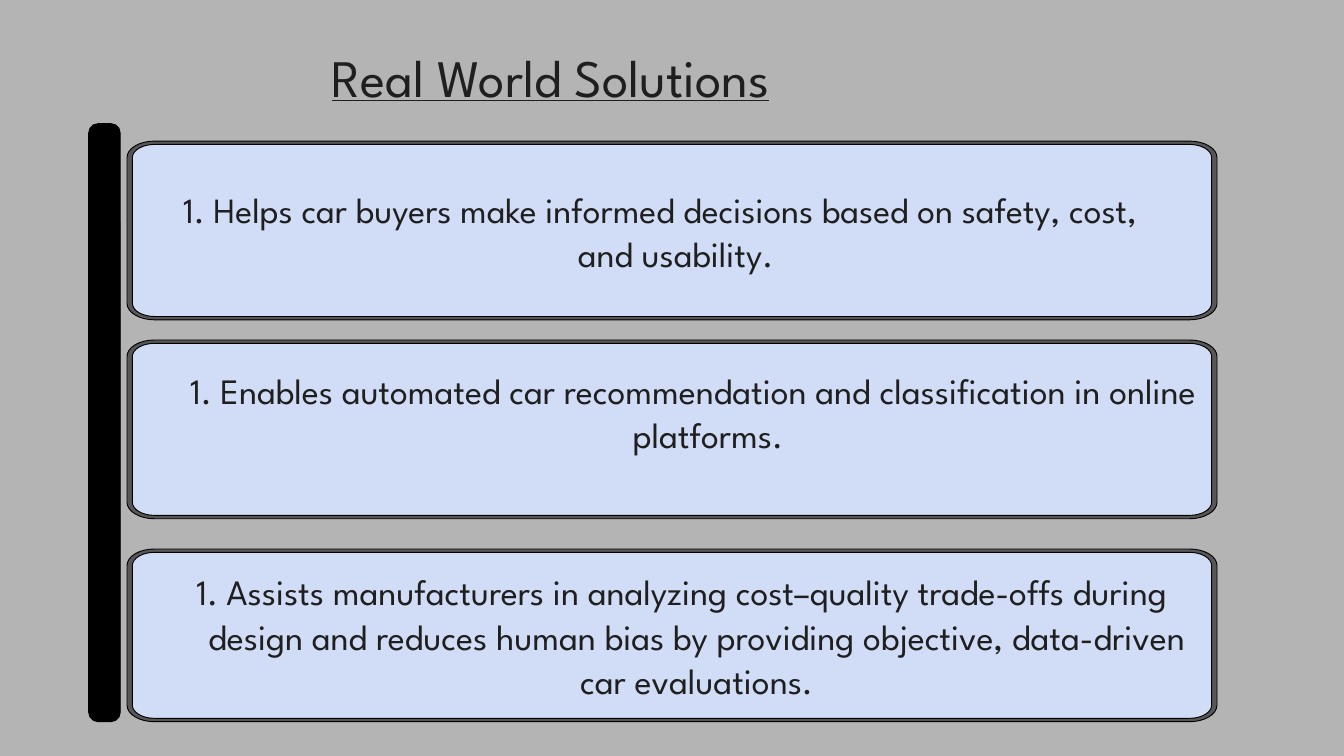
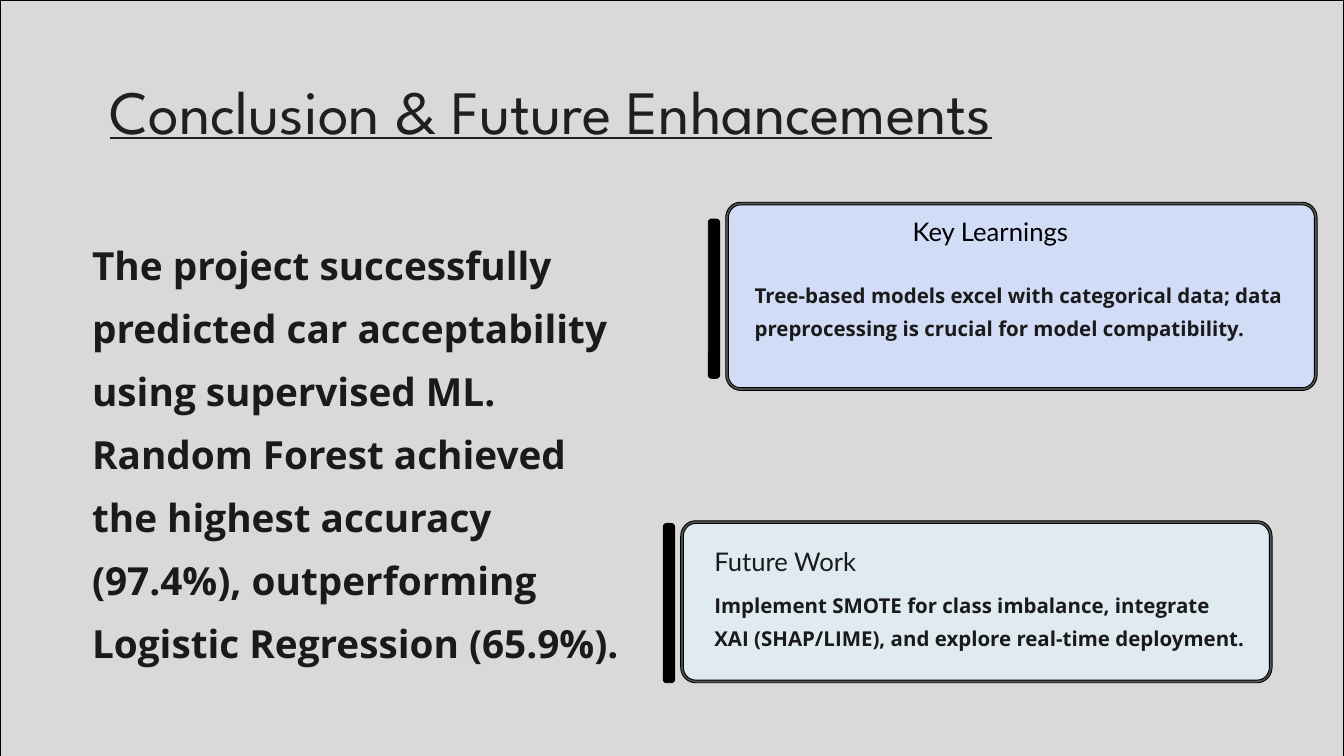
from dataclasses import dataclass
from math import cos, pi, sin

from lxml.etree import SubElement
from pptx import Presentation
from pptx.dml.color import RGBColor as Rgb
from pptx.enum.shapes import MSO_SHAPE as Kind
from pptx.enum.text import MSO_ANCHOR as Anchor, MSO_AUTO_SIZE as Fit, PP_ALIGN as Align
from pptx.oxml.ns import qn
from pptx.util import Inches, Pt

WIDE, HIGH = 20, 11.25


@dataclass(frozen=True)
class Theme:
    wall: str = "B4B4B4"
    panel: str = "D9D9D9"
    blue: str = "D1DCF6"
    pale: str = "DFEAF1"
    rim: str = "575757"
    black: str = "000000"
    ink: str = "1F1F1F"
    dark: str = "1A1A1A"
    head: str = "League Spartan"
    label: str = "Lato"
    body: str = "Open Sans"
    item_size: float = 38.2
    lead_size: float = 41.5
    label_size: float = 27.5
    note_size: float = 21.9


T = Theme()


def place(shape, box):
    shape.left, shape.top, shape.width, shape.height = map(Inches, box)


def paint(shape, fill):
    shape.shadow.inherit = False
    shape.fill.solid()
    shape.fill.fore_color.rgb = Rgb.from_string(fill)
    shape.line.color.rgb = Rgb.from_string(T.black)
    shape.line.width = Pt(1)


def text(slide, words, box, shape=None, font=T.head, size=20, color=T.ink,
         bold=False, line=False, pitch=None, align=Align.LEFT, number=False):
    """Write words into the given shape, or into a new text box."""
    if shape is None:
        shape = slide.shapes.add_textbox(*map(Inches, box))
    frame = shape.text_frame
    frame.margin_left = frame.margin_top = frame.margin_right = frame.margin_bottom = 0
    frame.word_wrap = True
    frame.auto_size = Fit.NONE
    frame.vertical_anchor = Anchor.TOP
    place(shape, box)
    para = frame.paragraphs[0]
    para.alignment = align
    para.line_spacing = Pt(pitch)
    if number:
        para.level = 1
        props = para._p.get_or_add_pPr()
        props.set("marL", str(Inches(0.9)))
        props.set("indent", str(Inches(-0.45)))
        SubElement(props, qn("a:buAutoNum"), type="arabicPeriod")
    run = para.add_run()
    run.text = words
    run.font.name, run.font.size = font, Pt(size)
    run.font.bold, run.font.underline = bold, line
    run.font.color.rgb = Rgb.from_string(color)


def title(slide, words, box, size, pitch):
    text(slide, words, box, shape=slide.shapes.title, size=size, pitch=pitch, line=True)


def inset(box, dx, dy):
    x, y, w, h = box
    return x + dx, y + dy, w - 2 * dx, h - 2 * dy


def outline(box, rx, ry, steps=8):
    """Points, clockwise, of a rectangle with elliptical corners."""
    x, y, w, h = box
    hubs = ((x + rx, y + ry), (x + w - rx, y + ry),
            (x + w - rx, y + h - ry), (x + rx, y + h - ry))
    dots = []
    for turn, (cx, cy) in enumerate(hubs):
        for step in range(steps + 1):
            angle = pi + (turn + step / steps) * pi / 2
            dots.append((Inches(cx + rx * cos(angle)), Inches(cy + ry * sin(angle))))
    return dots


def trace(slide, fill, *loops):
    first, *holes = loops
    pen = slide.shapes.build_freeform(*first[0])
    pen.add_line_segments(first[1:], close=True)
    for hole in holes:
        pen.move_to(*hole[0])
        pen.add_line_segments(hole[1:], close=True)
    paint(pen.convert_to_shape(), fill)


def card(slide, box, fill, curve, edge):
    """Filled card with a rim that is two edges thick."""
    (rx, ry), (dx, dy) = curve, edge
    trace(slide, fill, outline(inset(box, dx, dy), rx, ry))
    inner = outline(inset(box, 2 * dx, 2 * dy), rx - dx, ry - dy)
    trace(slide, T.rim, outline(box, rx + dx, ry + dy), inner[::-1])


def bar(slide, box):
    shape = slide.shapes.add_shape(Kind.ROUNDED_RECTANGLE, *map(Inches, box))
    shape.adjustments[0] = 0.3
    paint(shape, T.black)


def point(slide, box, words, shift, size=T.item_size, pitch=47.7):
    """Card with one numbered statement, shifted from the card's corner."""
    x, y, _, _ = box
    dx, dy, w, h = shift
    card(slide, box, T.blue, (0.37, 0.22), (0.04, 0.025))
    text(slide, words, (x + dx, y + dy, w, h), size=size, pitch=pitch,
         align=Align.CENTER, number=True)


def note(slide, box, fill, name, words, name_at, words_at, color, drop):
    """Card with a side bar, a label and a short text."""
    x, y, _, h = box
    card(slide, box, fill, (0.2, 0.21), (0.02, 0.02))
    bar(slide, (x - 0.26, y + drop, 0.17, 2.37))
    text(slide, name, (x + name_at[0], y + name_at[1], 3, 0.47), font=T.label,
         size=T.label_size, color=color, pitch=34.4)
    text(slide, words, (x + words_at[0], y + words_at[1], 7.93, 0.94), font=T.body,
         size=T.note_size, color=T.dark, bold=True, pitch=35.6)


def start(deck, color):
    slide = deck.slides.add_slide(deck.slide_layouts[5])
    slide.background.fill.solid()
    slide.background.fill.fore_color.rgb = Rgb.from_string(color)
    return slide


def solutions(deck):
    slide = start(deck, T.wall)
    title(slide, "Real World Solutions", (4.94, 0.63, 8.53, 0.96), 56.4, 70.3)
    left, wide = 1.89, 16.22
    bar(slide, (left - 0.57, 1.84, 0.47, 8.9))
    point(slide, (left, 2.1, wide, 2.66),
          "Helps car buyers make informed decisions based on safety, cost, and usability.",
          (0, 0.67, 15.43, 1.3), size=38, pitch=47.4)
    point(slide, (left, 5.06, wide, 2.66),
          "Enables automated car recommendation and classification in online platforms.",
          (0.17, 0.4, 16.05, 1.31))
    point(slide, (left, 8.17, wide, 2.57),
          "Assists manufacturers in analyzing cost–quality trade-offs during design and "
          "reduces human bias by providing objective, data-driven car evaluations.",
          (0, 0.29, 16.05, 1.97))


def closing(deck):
    slide = start(deck, T.panel)
    panel = slide.shapes.add_shape(Kind.RECTANGLE, 0, 0, Inches(WIDE), Inches(HIGH))
    paint(panel, T.panel)
    slide.shapes.title.element.addprevious(panel.element)
    title(slide, "Conclusion & Future Enhancements", (1.63, 1.04, 16.62, 1.12), 66, 82.3)
    text(slide, "The project successfully predicted car acceptability using supervised ML. "
         "Random Forest achieved the highest accuracy (97.4%), outperforming "
         "Logistic Regression (65.9%).", (1.37, 3.35, 8.14, 6.43), font=T.body,
         size=T.lead_size, color=T.dark, bold=True, pitch=67.6)
    note(slide, (10.8, 3.01, 8.8, 2.8), T.blue, "Key Learnings",
         "Tree-based models excel with categorical data; data preprocessing is crucial "
         "for model compatibility.", (2.78, 0.18), (0.43, 1.07), T.black, 0.25)
    note(slide, (10.13, 7.75, 8.8, 2.41), T.pale, "Future Work",
         "Implement SMOTE for class imbalance, integrate XAI (SHAP/LIME), and explore "
         "real-time deployment.", (0.5, 0.35), (0.5, 0.95), T.dark, 0.04)


def main():
    deck = Presentation()
    deck.slide_width, deck.slide_height = Inches(WIDE), Inches(HIGH)
    solutions(deck)
    closing(deck)
    deck.save("out.pptx")


if __name__ == "__main__":
    main()
